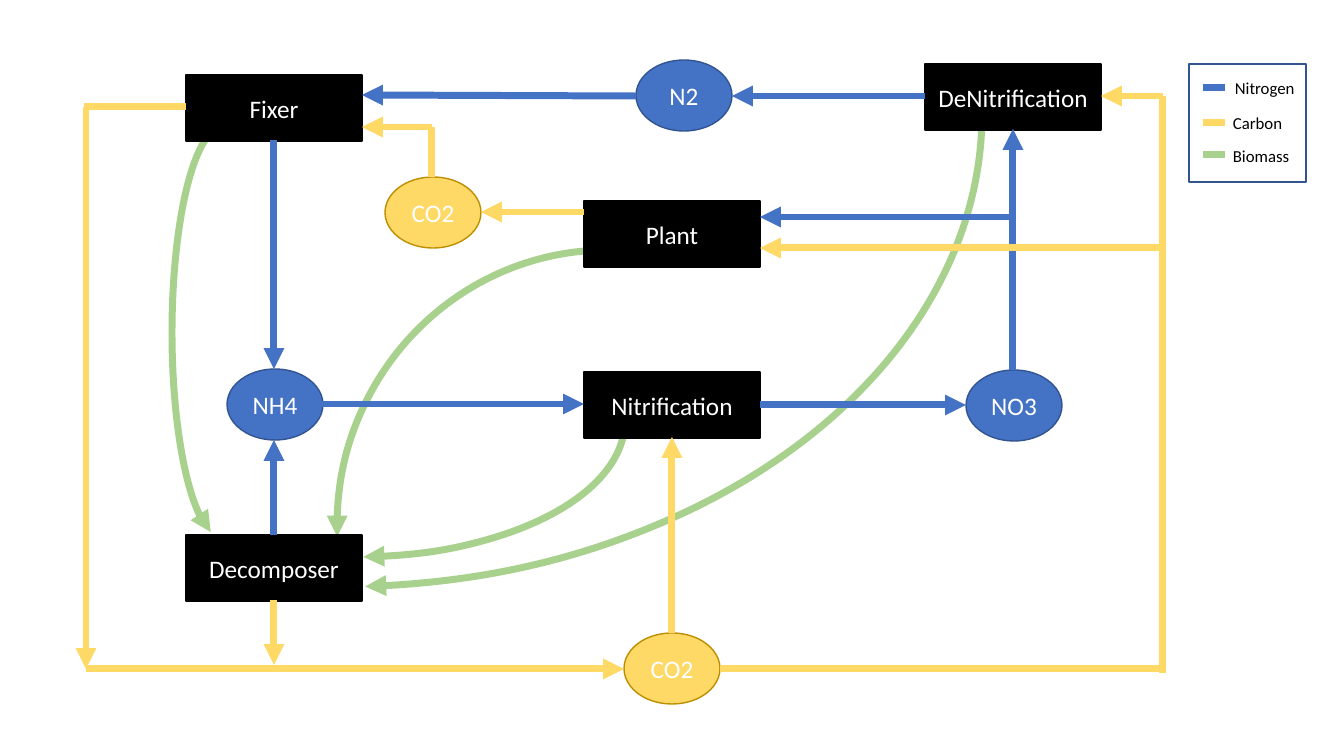
from lxml import etree
from pptx import Presentation
from pptx import util as u
from pptx.dml.color import RGBColor
from pptx.enum import shapes, text
from pptx.oxml.ns import qn

THEME = {
    "font": "Calibri", "node_size": 18, "legend_size": 12,
    "flow_width": 5, "outline_width": 1,
    "Nitrogen": "4472C4", "Carbon": "FFD966", "Biomass": "A9D18E",
    "organism": "000000", "nitrogen_edge": "325491", "carbon_edge": "BD8E00",
    "node_text": "FFFFFF", "legend_text": "000000",
}
EMU_PER_PX = 914400 / 100.8
SLIDE_SIZE = (1344, 756)

# Kind: preset, size, fill and outline
KINDS = {
    "organism": (shapes.MSO_SHAPE.RECTANGLE, (176, 66), "organism", "organism"),
    "nitrogen": (shapes.MSO_SHAPE.OVAL, (96, 71), "Nitrogen", "nitrogen_edge"),
    "carbon": (shapes.MSO_SHAPE.OVAL, (96, 71), "Carbon", "carbon_edge"),
}
# Kind, label, left, top
NODES = [
    ("organism", "Fixer", 186, 75),
    ("organism", "DeNitrification", 925, 64),
    ("organism", "Plant", 584, 201),
    ("organism", "Nitrification", 584, 372),
    ("organism", "Decomposer", 186, 535),
    ("nitrogen", "N2", 636, 60),
    ("nitrogen", "NH4", 227, 369),
    ("nitrogen", "NO3", 966, 370),
    ("carbon", "CO2", 385, 177),
    ("carbon", "CO2", 624, 633),
]
# Start, end, whether the end has an arrowhead
FLOWS = {
    "Nitrogen": [
        ((925, 96), (732, 96), True),      # DeNitrification to N2
        ((636, 96), (362, 95), True),      # N2 to Fixer
        ((274, 140), (274, 369), True),    # Fixer to NH4
        ((274, 535), (274, 440), True),    # Decomposer to NH4
        ((322, 404), (584, 404), True),    # NH4 to Nitrification
        ((760, 405), (966, 405), True),    # Nitrification to NO3
        ((1013, 370), (1013, 129), True),  # NO3 to DeNitrification
        ((1013, 217), (760, 217), True),   # NO3 to Plant
    ],
    "Carbon": [
        ((584, 212), (481, 212), True),    # Plant to upper CO2
        ((432, 177), (432, 127), False),   # upper CO2 to Fixer
        ((432, 127), (362, 127), True),
        ((186, 107), (84, 107), False),    # Fixer to lower CO2
        ((86, 107), (86, 669), True),
        ((86, 669), (624, 669), True),
        ((274, 600), (274, 665), True),    # Decomposer to lower CO2
        ((672, 633), (672, 437), True),    # lower CO2 to Nitrification
        ((720, 669), (1163, 669), False),  # lower CO2 to DeNitrification
        ((1163, 673), (1163, 96), False),
        ((1163, 96), (1101, 96), True),
        ((1163, 248), (760, 248), True),   # lower CO2 to Plant
    ],
}
# Box, arc angles, rotation, arrow end
BIOMASS_ARCS = [
    ((-307, -359, 1289, 946), (0.87, 51.985), 0, "tailEnd"),    # DeNitrification
    ((172, 127, 102, 411), (164.107, 51.428), 180, "headEnd"),  # Fixer
    ((86, 285, 539, 272), (0.87, 51.985), 0, "tailEnd"),        # Nitrification
    ((337, 250, 541, 552), (214.672, 51.428), 180, "headEnd"),  # Plant
]
LEGEND_BOX = (1189, 64, 117, 118)
LEGEND_KEY = (1203, 1225)
# Label, key line y, text left, text top
LEGEND = [
    ("Nitrogen", 88, 1225, 73),
    ("Carbon", 123, 1223, 108),
    ("Biomass", 155, 1223, 141),
]


def px(*lengths):
    """Turn pixel lengths into EMU."""
    return [u.Emu(round(length * EMU_PER_PX)) for length in lengths]


def color(name):
    """Look up a theme colour."""
    return RGBColor.from_string(THEME[name])


def style_line(line, name, width, arrow_end=None):
    """Set a line's colour and width, and a triangle at one end if asked."""
    line.color.rgb = color(name)
    line.width = u.Pt(width)
    if arrow_end:
        ln = line.fill._xPr
        etree.SubElement(ln, qn("a:" + arrow_end), type="triangle")


def write(frame, label, size, ink):
    """Put one styled line of text in a frame."""
    frame.text = label
    frame.word_wrap = True
    paragraph = frame.paragraphs[0]
    paragraph.font.name = THEME["font"]
    paragraph.font.size = u.Pt(THEME[size])
    paragraph.font.color.rgb = color(ink)
    return paragraph


def add_flow(parent, element, start, end, arrow):
    """Draw one straight flow of an element."""
    flow = parent.add_connector(shapes.MSO_CONNECTOR.STRAIGHT, *px(*start, *end))
    style_line(flow.line, element, THEME["flow_width"], "tailEnd" if arrow else None)
    etree.SubElement(flow._element.spPr, qn("a:effectLst"))


def add_outline(parent, preset, box, edge, width, arrow_end=None):
    """Draw an unfilled, shadowless preset shape."""
    outline = parent.add_shape(preset, *px(*box))
    outline.shadow.inherit = False
    outline.fill.background()
    style_line(outline.line, edge, width, arrow_end)
    return outline


def add_arc(parent, box, angles, rotation, arrow_end):
    """Draw one curved biomass flow."""
    arc = add_outline(parent, shapes.MSO_SHAPE.ARC, box, "Biomass",
                      THEME["flow_width"], arrow_end)
    arc.adjustments[0], arc.adjustments[1] = angles
    arc.rotation = rotation


def add_node(parent, kind, label, left, top):
    """Draw an organism box or a compound oval with its label."""
    preset, size, fill, edge = KINDS[kind]
    node = add_outline(parent, preset, (left, top, *size), edge, THEME["outline_width"])
    node.fill.solid()
    node.fill.fore_color.rgb = color(fill)
    node.text_frame.vertical_anchor = text.MSO_ANCHOR.MIDDLE
    label_line = write(node.text_frame, label, "node_size", "node_text")
    label_line.alignment = text.PP_ALIGN.CENTER


def add_legend(parent):
    """Draw the grouped key of flow colours."""
    legend = parent.add_group_shape().shapes
    for element, key_y, left, top in LEGEND:
        start, end = ((x, key_y) for x in LEGEND_KEY)
        add_flow(legend, element, start, end, False)
        caption = legend.add_textbox(*px(left, top, 82, 30))
        write(caption.text_frame, element, "legend_size", "legend_text")
        caption.text_frame.auto_size = text.MSO_AUTO_SIZE.SHAPE_TO_FIT_TEXT
    add_outline(legend, shapes.MSO_SHAPE.RECTANGLE, LEGEND_BOX,
                "nitrogen_edge", THEME["outline_width"])


def main():
    """Build and save the nutrient cycle slide."""
    deck = Presentation()
    deck.slide_width, deck.slide_height = px(*SLIDE_SIZE)
    cycle = deck.slides.add_slide(deck.slide_layouts[6]).shapes
    for arc in BIOMASS_ARCS:
        add_arc(cycle, *arc)
    for node in NODES:
        add_node(cycle, *node)
    for element, flows in FLOWS.items():
        for flow in flows:
            add_flow(cycle, element, *flow)
    add_legend(cycle)
    deck.save("out.pptx")


main()
